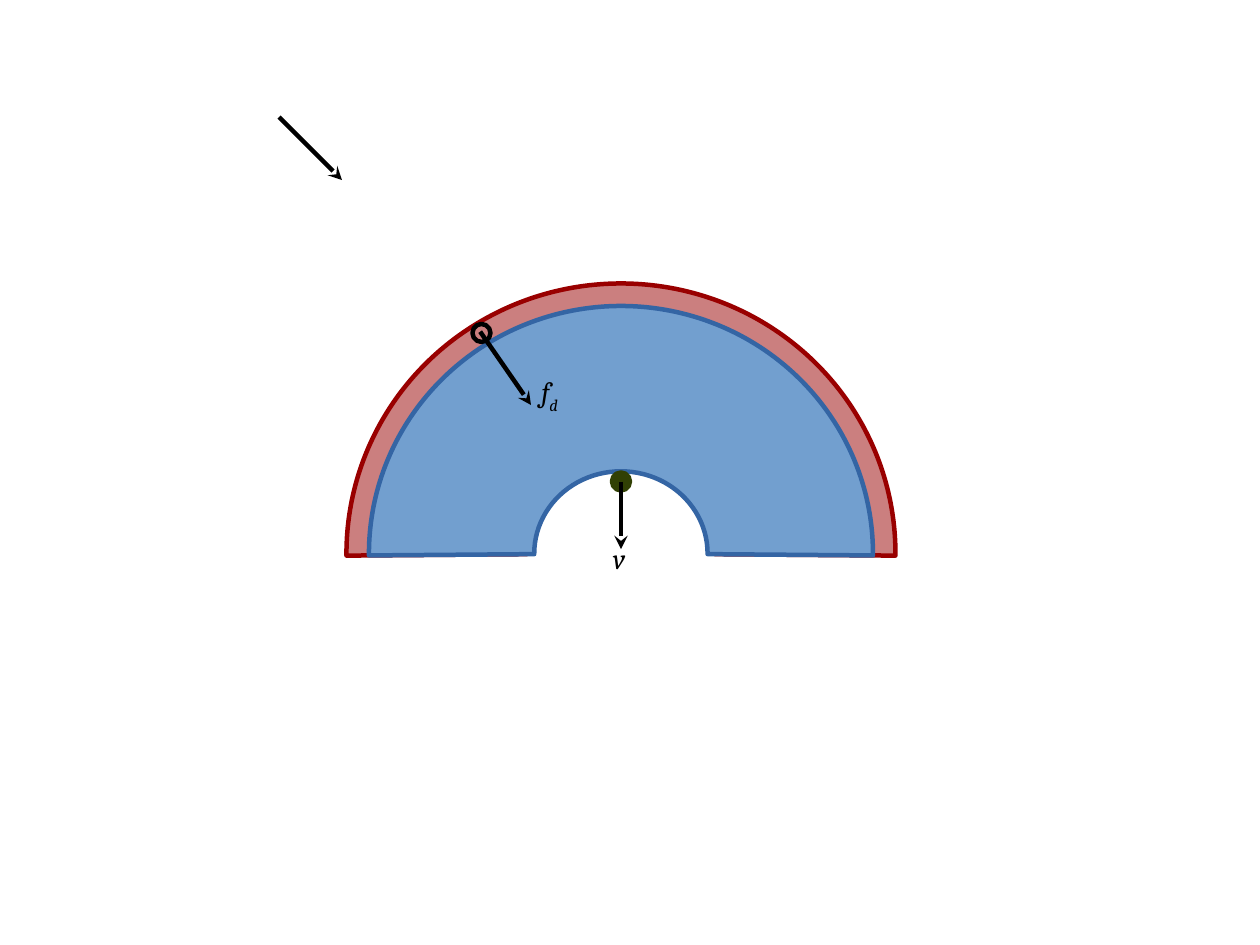
from dataclasses import dataclass

from lxml.etree import SubElement
from pptx import Presentation
from pptx.dml.color import RGBColor
from pptx.enum.shapes import MSO_CONNECTOR, MSO_SHAPE
from pptx.enum.text import MSO_AUTO_SIZE
from pptx.oxml.ns import qn
from pptx.util import Emu, Pt

PX = 3600  # 100 px to the centimetre


@dataclass(frozen=True)
class Theme:
    shell: str = "990000"
    core: str = "729FCF"
    core_edge: str = "3465A4"
    particle: str = "314004"
    ink: str = "000000"
    font: str = "Cambria"
    label_size: float = 18
    line_width: float = 2.83


THEME = Theme()
ARC_ADJUSTMENTS = (107.727, 0.273, 0.334)  # end angle, start angle, thickness


def px(*lengths):
    return [Emu(length * PX) for length in lengths]


def style_line(line, color):
    line.color.rgb = RGBColor.from_string(color)
    line.width = Pt(THEME.line_width)


def add_outlined(page, kind, box, line, fill=None, alpha=None):
    shape = page.shapes.add_shape(kind, *px(*box))
    shape.shadow.inherit = False
    style_line(shape.line, line)
    if fill is None:
        shape.fill.background()
        return shape
    shape.fill.solid()
    shape.fill.fore_color.rgb = RGBColor.from_string(fill)
    if alpha is not None:
        color = shape._element.spPr.find(qn("a:solidFill"))[0]
        SubElement(color, qn("a:alpha"), val=str(alpha * 1000))
    return shape


def add_arc(page, box, line, fill, alpha=None):
    arc = add_outlined(page, MSO_SHAPE.BLOCK_ARC, box, line, fill, alpha)
    for index, value in enumerate(ARC_ADJUSTMENTS):
        arc.adjustments[index] = value


def add_arrow(page, x, y, dx, dy):
    arrow = page.shapes.add_connector(
        MSO_CONNECTOR.STRAIGHT, *px(x, y, x + dx, y + dy))
    style_line(arrow.line, THEME.ink)
    properties = arrow._element.spPr
    SubElement(properties.find(qn("a:ln")), qn("a:tailEnd"), type="stealth")
    SubElement(properties, qn("a:effectLst"))


def add_label(page, box, symbol, subscript=""):
    frame = page.shapes.add_textbox(*px(*box)).text_frame
    frame_format = {"word_wrap": False,
                    "auto_size": MSO_AUTO_SIZE.SHAPE_TO_FIT_TEXT}
    for name, value in frame_format.items():
        setattr(frame, name, value)
    para = frame.paragraphs[0]
    font_format = {"name": THEME.font, "size": Pt(THEME.label_size),
                   "italic": True}
    for text, baseline in ((symbol, 0), (subscript, -33000)):
        if not text:
            continue
        span = para.add_run()
        span.text = text
        for name, value in font_format.items():
            setattr(span.font, name, value)
        span.font.color.rgb = RGBColor.from_string(THEME.ink)
        if baseline:
            span._r.get_or_add_rPr().set("baseline", str(baseline))


def draw_half_ring(page, box):
    left, top, width, height = box
    # Translucent shell around the solid core
    inset = 50
    add_arc(page, box, THEME.shell, THEME.shell, alpha=50)
    add_arc(page, (left + inset, top + inset, width - 2 * inset,
                   height - 2 * inset), THEME.core_edge, THEME.core)

    # Moving particle and point on the shell
    dot = 40
    add_outlined(page, MSO_SHAPE.OVAL, (left + 590, top + 420, dot, dot),
                 THEME.particle, THEME.particle)
    add_outlined(page, MSO_SHAPE.OVAL, (left + 280, top + 90, dot, dot),
                 THEME.ink)

    # Force and velocity
    add_arrow(page, left + 297, top + 107, 113, 163)
    add_label(page, (left + 408, top + 188, 94, 122), "f", "d")
    add_arrow(page, left + width // 2, top + 440, 0, 150)
    add_label(page, (left + 567, top + 559, 84, 109), "v")


def main():
    deck = Presentation()
    deck.slide_width, deck.slide_height = px(2800, 2100)
    page = deck.slides.add_slide(deck.slide_layouts[6])
    draw_half_ring(page, (770, 630, 1220, 1200))
    # Free arrow above the ring
    add_arrow(page, 620, 260, 140, 140)
    deck.save("out.pptx")


if __name__ == "__main__":
    main()
